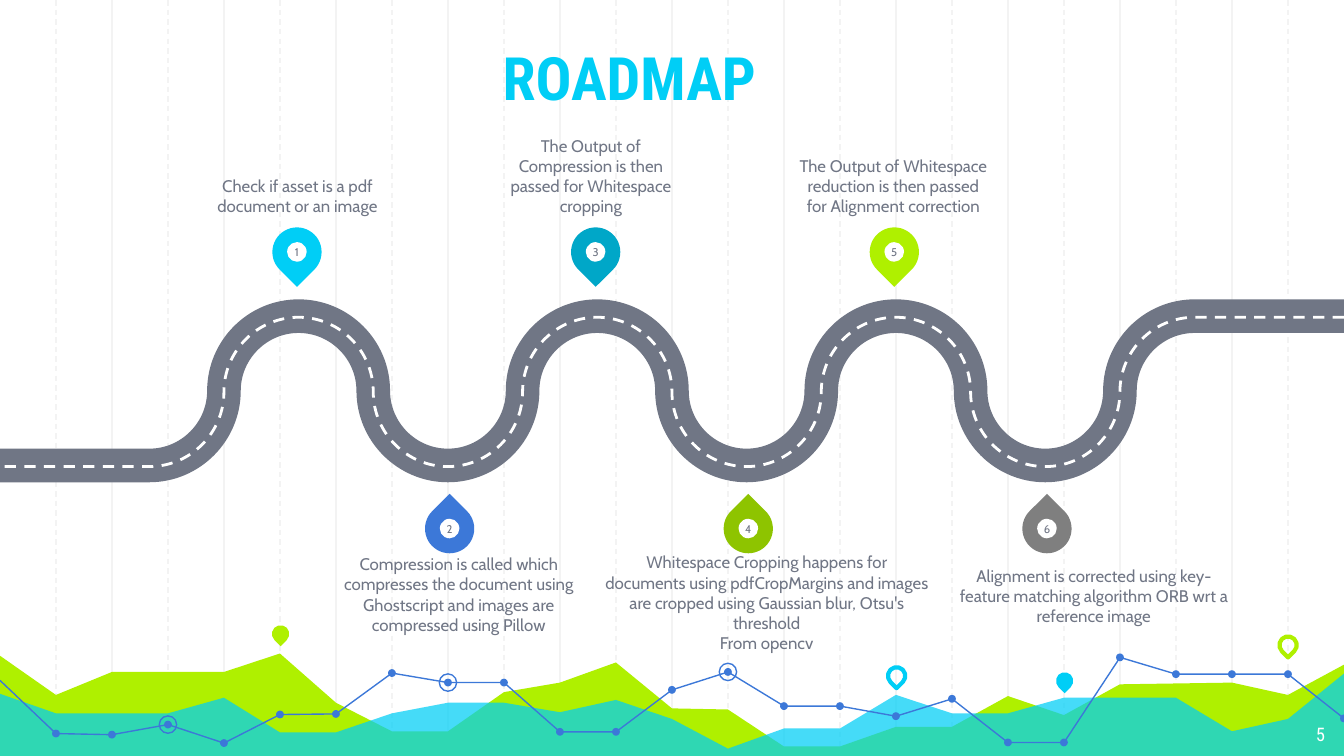
from dataclasses import dataclass
from typing import NamedTuple

from lxml.etree import SubElement
from pptx import Presentation
from pptx.dml.color import RGBColor
from pptx.enum.dml import MSO_LINE_DASH_STYLE as Dash
from pptx.enum.shapes import MSO_CONNECTOR as Connector, MSO_SHAPE as Preset
from pptx.enum.text import MSO_ANCHOR as Anchor, MSO_AUTO_SIZE as AutoSize, PP_ALIGN as Align
from pptx.oxml.ns import qn
from pptx.util import Inches, Pt

COLUMNS, ROWS = 24, 13.5
CELL = Inches(10) / COLUMNS
BEND = COLUMNS / 9
ROAD_ROW = 6.98
ARC_PULL = 0.55


@dataclass(frozen=True)
class Theme:
    cyan: str = "00CEF6"
    teal: str = "00A7C8"
    lime: str = "AFF000"
    olive: str = "8EC400"
    blue: str = "3C78D8"
    gray: str = "7F7F7F"
    slate: str = "707685"
    grid: str = "F3F3F3"
    white: str = "FFFFFF"
    heading_font: str = "Roboto Condensed"
    body_font: str = "Cabin"
    title_size: int = 32
    page_size: int = 10
    caption_size: int = 9
    number_size: int = 6


class Box(NamedTuple):
    column: float
    row: float
    width: float
    height: float


class Step(NamedTuple):
    color: str
    caption: str
    box: Box


class Marker(NamedTuple):
    column: float
    row: float
    color: str
    hollow: bool


THEME = Theme()

STEPS = [
    Step(THEME.cyan, "Check if asset is a pdf document or an image", Box(3.62, 2.47, 3.38, 1.39)),
    Step(THEME.blue, "Compression is called which compresses the document using Ghostscript "
         "and images are compressed using Pillow", Box(6.14, 9.89, 4.1, 1.39)),
    Step(THEME.teal, "The Output of Compression is then passed for Whitespace cropping",
         Box(8.86, 2.47, 3.38, 1.39)),
    Step(THEME.olive, "Whitespace Cropping happens for documents using pdfCropMargins and images "
         "are cropped using Gaussian blur, Otsu's threshold\nFrom opencv",
         Box(10.81, 9.86, 5.76, 1.39)),
    Step(THEME.lime, "The Output of Whitespace reduction is then passed for Alignment correction",
         Box(14.26, 2.47, 3.38, 1.39)),
    Step(THEME.gray, "Alignment is corrected using key-feature matching algorithm ORB wrt "
         "a reference image", Box(17, 10.1, 5.06, 1.39)),
]

LIME_HILLS = [11.71, 12.41, 12, None, 12, 11.67, 12.55, 13.06, 13.06, 12.36, 12.19, 11.83, 12.65,
              12.67, 13.33, 13.33, 12.98, 12.98, 12.43, 12.77, 12.22, None, 12.19, 12.41, 11.87]
CYAN_HILLS = [12.39, 12.74, None, 12.74, 12.46, 13.08, 13.08, 12.74, 12.55, 12.55, 12.72, 12.5,
              12.84, 13.37, 13.01, 13.01, 12.41, 12.74, 12.74, 12.46, None, 12.46, 13.06, 12.84,
              12.03]
TREND = [12.15, 13.1, 13.12, 12.94, 13.27, 12.76, 12.75, 12.02, 12.19, 12.19, 13.07, 13.07, 12.32,
         12, 12.61, 12.61, 12.79, 12.48, 13.26, 13.26, 11.74, 12.04, 12.04, 12.04, 12.83]
TREND_SPANS = [(0, 11), (11, 20), (20, 24)]
RINGED_COLUMNS = [3, 8, 13]
MARKERS = [
    Marker(5.01, 11.32, THEME.lime, False),
    Marker(16.01, 12.07, THEME.cyan, True),
    Marker(19.01, 12.16, THEME.cyan, False),
    Marker(23, 11.52, THEME.lime, True),
]


def cells(count: float) -> int:
    return round(count * CELL)


def rgb(color: str) -> RGBColor:
    return RGBColor.from_string(color)


def paint(shape, *, fill=None, line=None, weight=0.75, dash=None, opacity=None):
    shape.shadow.inherit = False
    if fill:
        shape.fill.solid()
        shape.fill.fore_color.rgb = rgb(fill)
        if opacity:
            tint = shape.fill._xPr.find(".//" + qn("a:srgbClr"))
            SubElement(tint, qn("a:alpha"), val=str(opacity * 1000))
    else:
        shape.fill.background()
    if line:
        shape.line.color.rgb = rgb(line)
        shape.line.width = Pt(weight)
        if dash:
            shape.line.dash_style = dash
    else:
        shape.line.fill.background()
    return shape


def write(shape, text: str, *, size: int, font=THEME.body_font, color=THEME.slate, bold=False,
          align=Align.CENTER, anchor=Anchor.TOP, inset=0.0, wrap=True):
    frame = shape.text_frame
    frame.auto_size = AutoSize.NONE
    frame.word_wrap = wrap
    frame.vertical_anchor = anchor
    frame.margin_left = frame.margin_right = frame.margin_top = frame.margin_bottom = cells(inset)
    frame.text = text
    for paragraph in frame.paragraphs:
        paragraph.alignment = align
        for run in paragraph.runs:
            run.font.name, run.font.size, run.font.bold = font, Pt(size), bold
            run.font.color.rgb = rgb(color)


def add_textbox(slide, box: Box):
    return slide.shapes.add_textbox(*map(cells, box))


def add_centered(slide, preset, column: float, row: float, size: float, rotation=0, **look):
    corner = cells(column - size / 2), cells(row - size / 2)
    shape = slide.shapes.add_shape(preset, *corner, cells(size), cells(size))
    shape.rotation = rotation
    return paint(shape, **look)


def add_outline(slide, points: list, closed=False, **look):
    start, *rest = [(cells(column), cells(row)) for column, row in points]
    builder = slide.shapes.build_freeform(*start)
    builder.add_line_segments(rest, close=closed)
    return paint(builder.convert_to_shape(), **look)


def draw_grid(slide) -> None:
    for column in [*range(2, COLUMNS, 2), *range(1, COLUMNS, 2)]:
        ends = cells(column), 0, cells(column), cells(ROWS)
        rule = slide.shapes.add_connector(Connector.STRAIGHT, *ends)
        rule.line.color.rgb = rgb(THEME.grid)
        rule.line.width = Pt(0.75)
        if column % 2:
            rule.line.dash_style = Dash.DASH
        SubElement(rule.element.spPr, qn("a:effectLst"))


def draw_landscape(slide) -> None:
    for hills, color, opacity in ((LIME_HILLS, THEME.lime, None), (CYAN_HILLS, THEME.cyan, 73)):
        ridge = [(column, row) for column, row in enumerate(hills) if row is not None]
        add_outline(slide, [*ridge, (COLUMNS, ROWS), (0, ROWS)], closed=True,
                    fill=color, opacity=opacity)
    trend = list(enumerate(TREND))
    for first, last in TREND_SPANS:
        add_outline(slide, trend[first:last + 1], line=THEME.blue)
    for column, row in trend[1:]:
        add_centered(slide, Preset.OVAL, column, row, 0.14, fill=THEME.blue)
    for column in RINGED_COLUMNS:
        add_centered(slide, Preset.OVAL, column, TREND[column], 0.31, line=THEME.blue)
    for column, row, color, hollow in MARKERS:
        look = {"line": color, "weight": 2.25} if hollow else {"fill": color}
        add_centered(slide, Preset.TEAR, column, row, 0.31, 135, **look)


def road_points(middle: float) -> list:
    radius = BEND / 2
    pull = radius * ARC_PULL
    points = [(COLUMNS, middle - radius), (8 * BEND, middle - radius)]
    for bend in range(8, 1, -1):
        apex = middle + (radius if bend % 2 else -radius)
        next_apex = 2 * middle - apex
        center, crossing = bend * BEND, bend * BEND - radius
        lean = pull if next_apex > apex else -pull
        points += [
            (center - pull, apex), (crossing, middle - lean), (crossing, middle),
            (crossing, middle + lean), (center - BEND + pull, next_apex),
            (center - BEND, next_apex),
        ]
    return points + [(0, middle + radius)]


def add_road(slide, middle: float, **look) -> None:
    road = add_outline(slide, road_points(middle), **look)
    segments = road.element.findall(".//" + qn("a:lnTo"))
    outline = segments[0].getparent()
    bends = segments[1:-1]
    for first in range(0, len(bends), 3):
        curve = SubElement(outline, qn("a:cubicBezTo"))
        outline.replace(bends[first], curve)
        for segment in bends[first:first + 3]:
            curve.append(segment[0])
        for segment in bends[first + 1:first + 3]:
            outline.remove(segment)


def draw_step(slide, number: int, step: Step) -> None:
    above = number % 2 == 1
    column = BEND * (number + 1) + (-0.03 if above else 0.03)
    row = 4.5 if above else 9.44
    add_centered(slide, Preset.TEAR, column, row, 0.88, 135 if above else 315, fill=step.color)
    disc = add_centered(slide, Preset.OVAL, column, row, 0.35, fill=THEME.white)
    write(disc, str(number), size=THEME.number_size, anchor=Anchor.MIDDLE, wrap=False)
    write(add_textbox(slide, step.box), step.caption, size=THEME.caption_size,
          anchor=Anchor.BOTTOM if above else Anchor.TOP)


def draw_headings(slide) -> None:
    title = slide.shapes.title
    title.left, title.top, title.width, title.height = map(cells, Box(2.06, 0.37, 18.36, 1.87))
    write(title, "ROADMAP", size=THEME.title_size, font=THEME.heading_font, color=THEME.cyan,
          bold=True, anchor=Anchor.BOTTOM, inset=0.24)
    title.element.getparent().append(title.element)
    write(add_textbox(slide, Box(22.46, 12.67, 1.44, 0.84)), "5", size=THEME.page_size,
          font=THEME.heading_font, color=THEME.white, align=Align.RIGHT, inset=0.24)


def main() -> None:
    deck = Presentation()
    deck.slide_width, deck.slide_height = cells(COLUMNS), cells(ROWS)
    slide = deck.slides.add_slide(deck.slide_layouts[5])
    draw_grid(slide)
    draw_landscape(slide)
    draw_headings(slide)
    add_road(slide, ROAD_ROW, line=THEME.slate, weight=18)
    add_road(slide, ROAD_ROW + 0.02, line=THEME.white, weight=1.5, dash=Dash.DASH)
    for number, step in enumerate(STEPS, start=1):
        draw_step(slide, number, step)
    deck.save("out.pptx")


if __name__ == "__main__":
    main()
